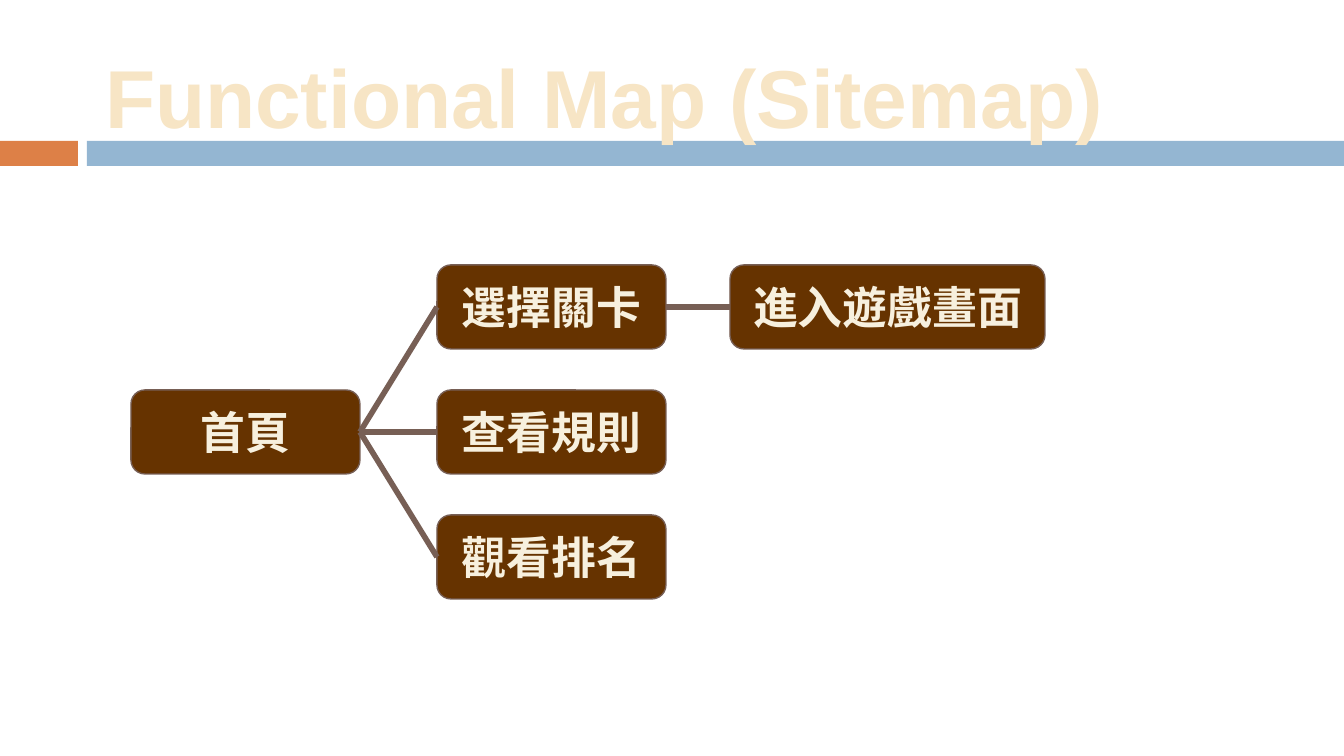
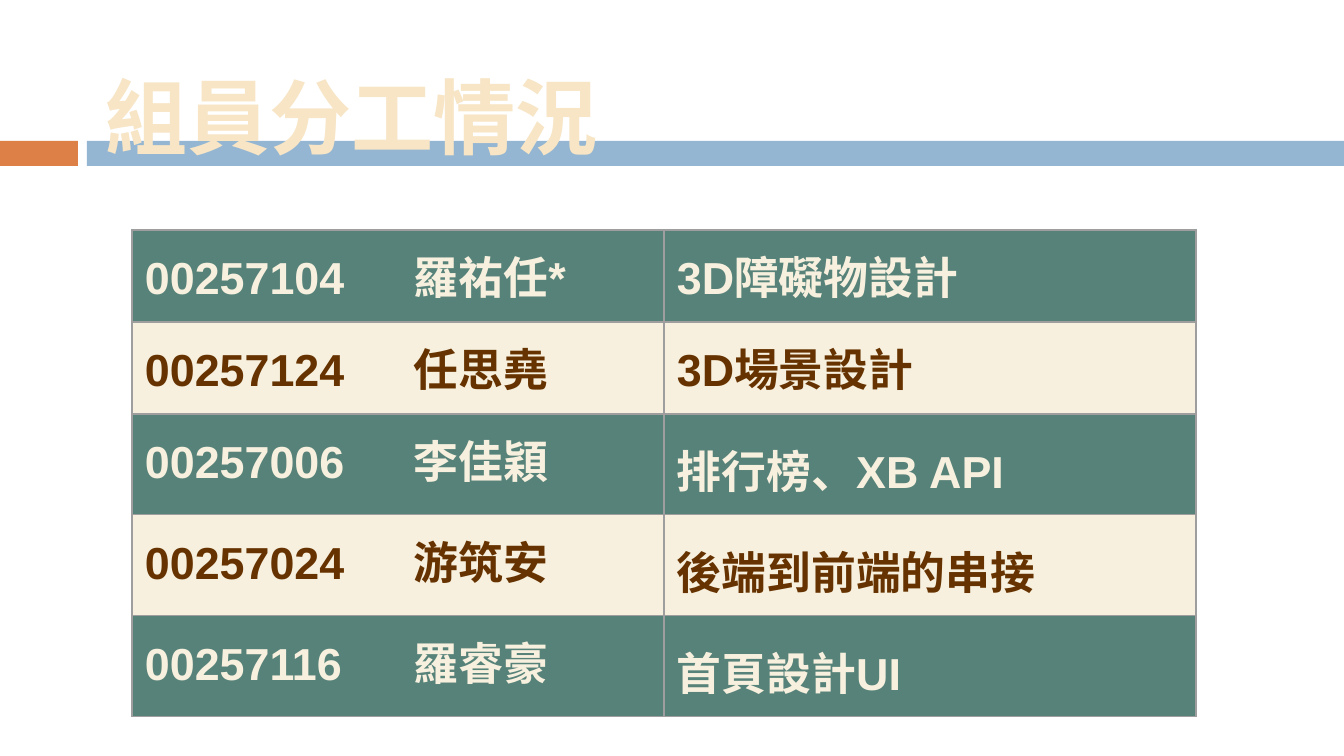
"""Build a sitemap slide and a team assignment slide."""
from lxml.etree import SubElement
from pptx import Presentation
from pptx.dml.color import RGBColor
from pptx.enum.shapes import MSO_CONNECTOR, MSO_SHAPE
from pptx.enum.text import MSO_ANCHOR, PP_ALIGN
from pptx.oxml import parse_xml
from pptx.oxml.ns import nsdecls, qn
from pptx.util import Emu, Pt

SCALE = 914400 / 134.4
FONT = "Arial"
ORANGE, BLUE, GREEN = "DD8047", "94B6D2", "578279"
BROWN, TAUPE, CREAM = "663300", "775F55", "F7F0DE"
TITLE_COLOR, TITLE_OUTLINE, GRID = "F7E5C5", "805B4C", "9E9E9E"
PADDING = 13
LOOSE = 1.15

BANDS = [(0, 78, ORANGE), (87, 1257, BLUE)]
BAND_TOP, BAND_HEIGHT = 141, 25

SITEMAP_TITLE = ("Functional Map (Sitemap)", 19)
COLUMNS = [(131, 229), (437, 229), (730, 315)]
FIRST_ROW, ROW_STEP, NODE_HEIGHT = 265, 125, 84
NODES = [
    ("首頁", 0, 1),
    ("查看規則", 1, 1),
    ("選擇關卡", 1, 0),
    ("觀看排名", 1, 2),
    ("進入遊戲畫面", 2, 0),
]
LINKS = [
    ("首頁", "選擇關卡"),
    ("首頁", "查看規則"),
    ("首頁", "觀看排名"),
    ("選擇關卡", "進入遊戲畫面"),
]

TEAM_TITLE = ("組員分工情況", 39)
TEAM = [
    ("00257104\t羅祐任*", "3D障礙物設計", 1),
    ("00257124\t任思堯", "3D場景設計", 1),
    ("00257006\t李佳穎", "排行榜、XB API", LOOSE),
    ("00257024\t游筑安", "後端到前端的串接", LOOSE),
    ("00257116\t羅睿豪", "首頁設計UI", LOOSE),
]
TABLE_LEFT, TABLE_TOP, COLUMN_WIDTH = 132, 230, 532
ROW_HEIGHTS = {1: 92, LOOSE: 101}
NAME_TAB = 269


def px(value):
    return Emu(round(value * SCALE))


def box(*lengths):
    return [px(length) for length in lengths]


def color(value):
    return RGBColor.from_string(value)


def paint(fill, value):
    fill.solid()
    fill.fore_color.rgb = color(value)


def set_margins(frame):
    frame.margin_left = frame.margin_right = px(PADDING)
    frame.margin_top = frame.margin_bottom = px(PADDING)


def write(paragraph, text, size, value):
    run = paragraph.add_run()
    run.text = text
    run.font.name = FONT
    run.font.size = Pt(size)
    run.font.bold = True
    run.font.color.rgb = color(value)
    return run


def add_block(slide, kind, bounds, value):
    shape = slide.shapes.add_shape(kind, *box(*bounds))
    shape.shadow.inherit = False
    paint(shape.fill, value)
    shape.line.fill.background()
    return shape


def start_slide(presentation, title, top):
    slide = presentation.slides.add_slide(presentation.slide_layouts[6])
    paint(slide.background.fill, "FFFFFF")
    for left, width, value in BANDS:
        add_block(slide, MSO_SHAPE.RECTANGLE, (left, BAND_TOP, width, BAND_HEIGHT), value)
    frame = slide.shapes.add_textbox(*box(92, top, 1252, 84)).text_frame
    frame.word_wrap = True
    frame.vertical_anchor = MSO_ANCHOR.TOP
    set_margins(frame)
    paragraph = frame.paragraphs[0]
    paragraph.line_spacing = LOOSE
    run = write(paragraph, title, 44, TITLE_COLOR)
    outline = parse_xml(
        f'<a:ln {nsdecls("a")} w="12700"><a:solidFill>'
        f'<a:srgbClr val="{TITLE_OUTLINE}"/></a:solidFill></a:ln>'
    )
    run.font._element.insert(0, outline)
    return slide


def add_node(slide, label, column, row):
    left, width = COLUMNS[column]
    bounds = (left, FIRST_ROW + row * ROW_STEP, width, NODE_HEIGHT)
    node = add_block(slide, MSO_SHAPE.ROUNDED_RECTANGLE, bounds, BROWN)
    node.line.color.rgb = color(TAUPE)
    node.line.width = Pt(0.75)
    frame = node.text_frame
    frame.word_wrap = True
    frame.vertical_anchor = MSO_ANCHOR.MIDDLE
    set_margins(frame)
    paragraph = frame.paragraphs[0]
    paragraph.alignment = PP_ALIGN.CENTER
    write(paragraph, label, 24, CREAM)
    return node


def link_nodes(slide, parent, child):
    connector = slide.shapes.add_connector(MSO_CONNECTOR.STRAIGHT, 0, 0, 0, 0)
    connector.begin_connect(parent, 3)
    connector.end_connect(child, 1)
    connector.line.color.rgb = color(TAUPE)
    connector.line.width = Pt(3)
    SubElement(connector._element.spPr, qn("a:effectLst"))


def fill_cell(cell, text, spacing, background, foreground):
    properties = cell._tc.get_or_add_tcPr()
    for side in ("lnL", "lnR", "lnT", "lnB"):
        border = SubElement(properties, qn(f"a:{side}"), w=str(Pt(0.75)))
        solid = SubElement(border, qn("a:solidFill"))
        SubElement(solid, qn("a:srgbClr"), val=GRID)
    paint(cell.fill, background)
    set_margins(cell)
    paragraph = cell.text_frame.paragraphs[0]
    if "\t" in text:
        tabs = SubElement(paragraph._p.get_or_add_pPr(), qn("a:tabLst"))
        SubElement(tabs, qn("a:tab"), pos=str(px(NAME_TAB)), algn="l")
    if spacing != 1:
        paragraph.line_spacing = spacing
    write(paragraph, text, 24, foreground)


def build_sitemap(presentation):
    slide = start_slide(presentation, *SITEMAP_TITLE)
    nodes = {node[0]: add_node(slide, *node) for node in NODES}
    for parent, child in LINKS:
        link_nodes(slide, nodes[parent], nodes[child])


def build_team(presentation):
    slide = start_slide(presentation, *TEAM_TITLE)
    heights = [ROW_HEIGHTS[spacing] for _, _, spacing in TEAM]
    bounds = box(TABLE_LEFT, TABLE_TOP, 2 * COLUMN_WIDTH, sum(heights))
    table = slide.shapes.add_table(len(TEAM), 2, *bounds).table
    for index, (member, task, spacing) in enumerate(TEAM):
        table.rows[index].height = px(heights[index])
        colors = (CREAM, BROWN) if index % 2 else (GREEN, CREAM)
        fill_cell(table.cell(index, 0), member, 1, *colors)
        fill_cell(table.cell(index, 1), task, spacing, *colors)


def main():
    presentation = Presentation()
    presentation.slide_width, presentation.slide_height = box(1344, 756)
    build_sitemap(presentation)
    build_team(presentation)
    presentation.save("out.pptx")


if __name__ == "__main__":
    main()
